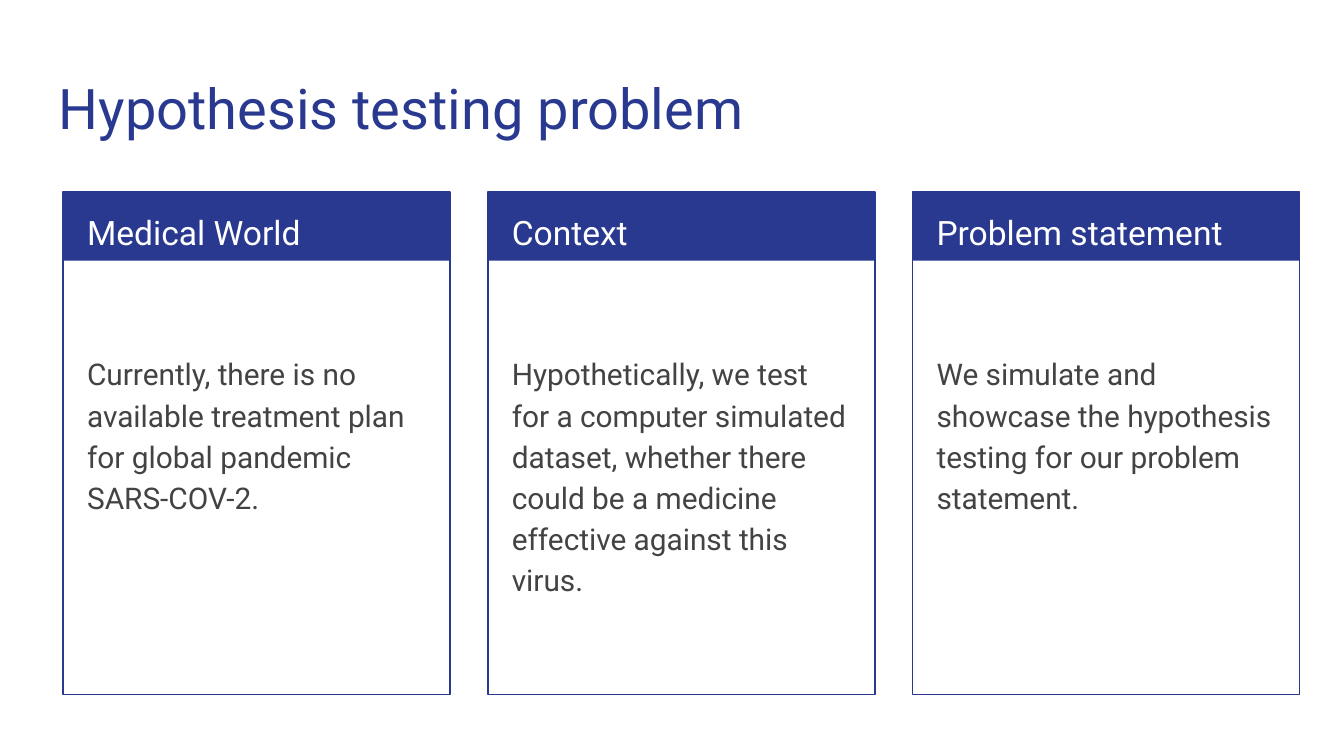
from pptx import Presentation
from pptx.dml.color import RGBColor
from pptx.enum.shapes import MSO_SHAPE as Shape
from pptx.enum.text import MSO_ANCHOR as Anchor
from pptx.util import Inches, Pt

COLORS = {"navy": "2A3990", "white": "FFFFFF", "text": "434343"}
FONT = "Roboto"

CARDS = [
    ("Medical World",
     "Currently, there is no available treatment plan for global pandemic "
     "SARS-COV-2."),
    ("Context",
     "Hypothetically, we test for a computer simulated dataset, whether there "
     "could be a medicine effective against this virus."),
    ("Problem statement",
     "We simulate and showcase the hypothesis testing for our problem "
     "statement."),
]
CARD_LEFT, CARD_TOP, CARD_WIDTH, CARD_HEIGHT = 0.47, 1.43, 2.88, 3.74
CARD_STEP = 3.16
HEADER_HEIGHT = 0.51


def color(name):
    return RGBColor.from_string(COLORS[name])


def add_text(page, left, top, width, height, text, size, tone, spacing=1.0):
    box = page.shapes.add_textbox(
        Inches(left), Inches(top), Inches(width), Inches(height))
    frame = box.text_frame
    frame.word_wrap = True
    frame.vertical_anchor = Anchor.TOP
    frame.margin_left = frame.margin_right = Inches(0.1)
    frame.margin_top = frame.margin_bottom = Inches(0.1)
    para = frame.paragraphs[0]
    para.line_spacing = spacing
    span = para.add_run()
    span.text = text
    span.font.name = FONT
    span.font.size = Pt(size)
    span.font.color.rgb = color(tone)


def add_rectangle(page, left, top, width, height):
    box = page.shapes.add_shape(
        Shape.RECTANGLE, Inches(left), Inches(top), Inches(width), Inches(height))
    box.shadow.inherit = False
    return box


def add_card(page, left, top, width, height, heading, body):
    # Header band
    band = add_rectangle(page, left, top, width, HEADER_HEIGHT)
    band.fill.solid()
    band.fill.fore_color.rgb = color("navy")
    band.line.fill.background()

    # Outline
    outline = add_rectangle(page, left, top, width, height)
    outline.fill.background()
    outline.line.color.rgb = color("navy")
    outline.line.width = Pt(0.75)

    # Heading and body
    add_text(page, left + 0.08, top, width - 0.15, 0.5,
             heading, 18, "white", 1.15)
    add_text(page, left + 0.08, top + 1.08, width - 0.17, height - 1.17,
             body, 16, "text", 1.15)


def main():
    deck = Presentation()
    deck.slide_width = Inches(10)
    deck.slide_height = deck.slide_width * 9 // 16
    page = deck.slides.add_slide(deck.slide_layouts[6])

    # Title
    add_text(page, 0.34, 0.45, 9.32, 0.66,
             "Hypothesis testing problem", 30, "navy")

    # Row of cards
    for index, (heading, body) in enumerate(CARDS):
        add_card(page, CARD_LEFT + index * CARD_STEP, CARD_TOP,
                 CARD_WIDTH, CARD_HEIGHT, heading, body)

    deck.save("out.pptx")


if __name__ == "__main__":
    main()
